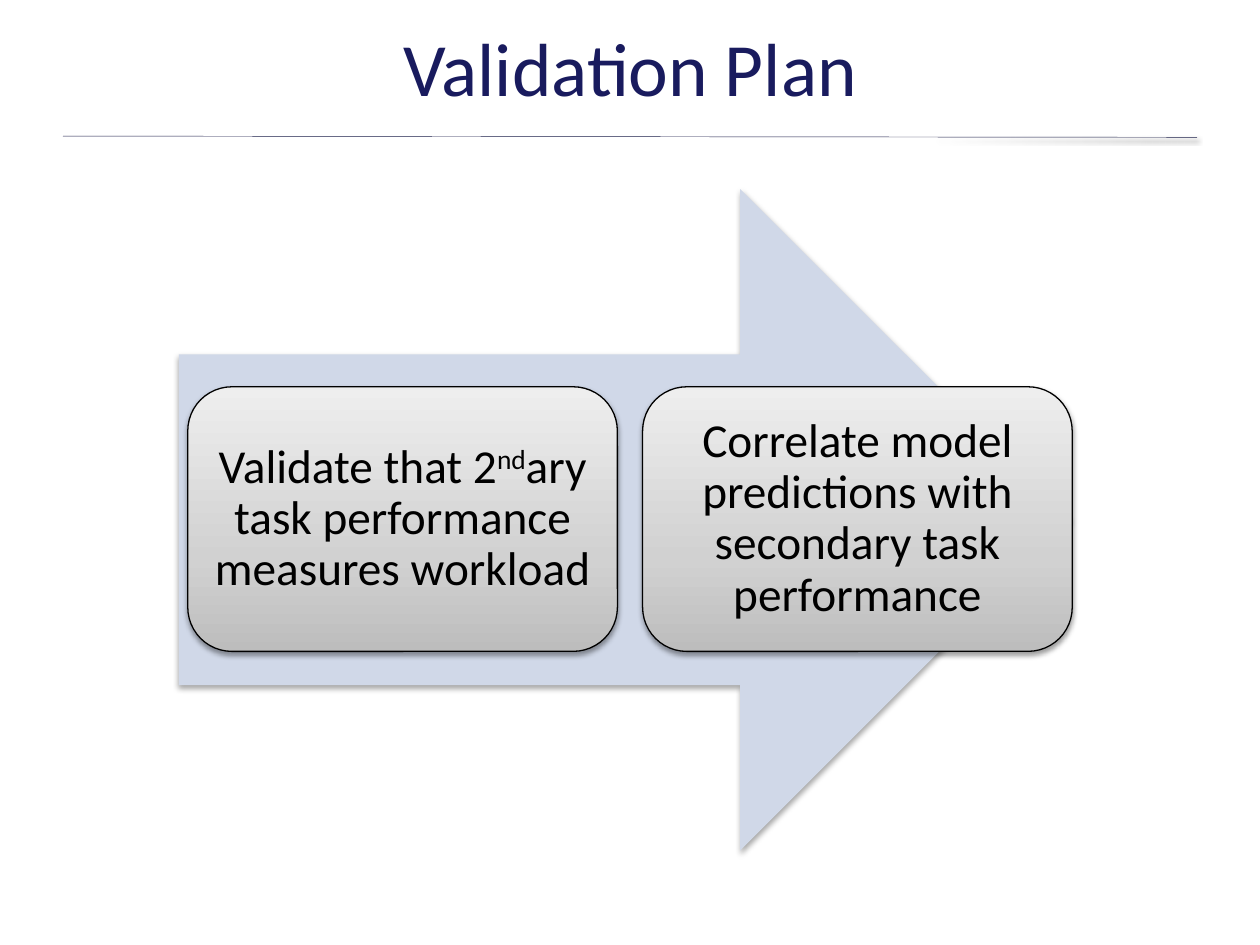
"""Build the Validation Plan slide: a title, a rule and two steps on an arrow."""
from copy import deepcopy
from dataclasses import dataclass

from lxml.etree import SubElement
from pptx import Presentation
from pptx.dml.color import RGBColor
from pptx.enum.shapes import MSO_CONNECTOR, MSO_SHAPE
from pptx.enum.text import MSO_ANCHOR, PP_ALIGN
from pptx.oxml.ns import qn
from pptx.util import Inches, Pt

COLORS = {"title": "191B5E", "rule": "1A1C47", "arrow": "D0D8E8", "ink": "000000"}
GRADIENT = ((0, "BDBDBD"), (35, "D1D1D1"), (100, "EEEEEE"))
STEP_LEFT, STEP_TOP, STEP_W, STEP_H, STEP_PITCH = 1.49, 3.07, 3.41, 2.1, 3.61
FRAME = {"word_wrap": True, "vertical_anchor": MSO_ANCHOR.MIDDLE}
STEP_FRAME = FRAME | {f"margin_{side}": Inches(0.11)
                      for side in ("left", "top", "right", "bottom")}
TITLE_PARAGRAPH = {"alignment": PP_ALIGN.CENTER, "line_spacing": Pt(40)}
STEP_PARAGRAPH = {"alignment": PP_ALIGN.CENTER, "line_spacing": 0.9}


@dataclass
class Run:
    text: str
    raised: int = 0


@dataclass
class Step:
    column: int
    runs: list[Run]


STEPS = [
    Step(0, [Run("Validate that 2"), Run("nd", 30),
             Run("ary task performance measures workload")]),
    Step(1, [Run("Correlate model predictions with secondary task performance")]),
]


def rgb(name: str) -> RGBColor:
    return RGBColor.from_string(COLORS[name])


def apply(target, values: dict) -> None:
    for name, value in values.items():
        setattr(target, name, value)


def add_shadow(sp, alpha: int, distance: float) -> None:
    effects = SubElement(sp._element.spPr, qn("a:effectLst"))
    shadow = SubElement(effects, qn("a:outerShdw"), blurRad=str(Pt(3.1)),
                        dist=str(Pt(distance)), dir="5400000", rotWithShape="0")
    color = SubElement(shadow, qn("a:srgbClr"), val=COLORS["ink"])
    SubElement(color, qn("a:alpha"), val=str(alpha * 1000))


def fill_gradient(sp) -> None:
    sp.fill.gradient()
    sp.fill.gradient_angle = 90
    stops = sp._element.spPr.find(qn("a:gradFill")).find(qn("a:gsLst"))
    stops.append(deepcopy(stops[0]))
    for stop, (position, color) in zip(sp.fill.gradient_stops, GRADIENT):
        stop.position = position / 100
        stop.color.rgb = RGBColor.from_string(color)


def write(tf, runs: list[Run], size: float, color: str, frame: dict, paragraph: dict) -> None:
    apply(tf, frame)
    p = tf.paragraphs[0]
    apply(p, paragraph)
    for run in runs:
        r = p.add_run()
        r.text = run.text
        apply(r.font, {"name": "Calibri", "size": Pt(size)})
        r.font.color.rgb = rgb(color)
        if run.raised:
            r.font._element.set("baseline", str(run.raised * 1000))


def add_rule(s) -> None:
    line = s.shapes.add_connector(MSO_CONNECTOR.STRAIGHT, Inches(0.5), Inches(1.08),
                                  Inches(9.5), Inches(1.09))
    line.line.color.rgb = rgb("rule")
    line.line.width = Pt(0.25)
    add_shadow(line, 38, 1.6)


def add_title(s) -> None:
    box = s.shapes.add_textbox(Inches(0.5), Inches(0.14), Inches(9), Inches(0.94))
    write(box.text_frame, [Run("Validation Plan")], 43, "title", FRAME, TITLE_PARAGRAPH)


def add_arrow(s) -> None:
    sp = s.shapes.add_shape(MSO_SHAPE.RIGHT_ARROW, Inches(1.42), Inches(1.5),
                            Inches(7.08), Inches(5.25))
    sp.fill.solid()
    sp.fill.fore_color.rgb = rgb("arrow")
    sp.line.fill.background()
    add_shadow(sp, 35, 1.8)


def add_step(s, step: Step) -> None:
    left = STEP_LEFT + step.column * STEP_PITCH
    sp = s.shapes.add_shape(MSO_SHAPE.ROUNDED_RECTANGLE, Inches(left), Inches(STEP_TOP),
                            Inches(STEP_W), Inches(STEP_H))
    fill_gradient(sp)
    sp.line.color.rgb = rgb("ink")
    sp.line.width = Pt(0.75)
    add_shadow(sp, 38, 1.6)
    write(sp.text_frame, step.runs, 27, "ink", STEP_FRAME, STEP_PARAGRAPH)


def main() -> None:
    prs = Presentation()
    prs.slide_width, prs.slide_height = Inches(10), Inches(7.5)
    s = prs.slides.add_slide(prs.slide_layouts[6])
    add_rule(s)
    add_title(s)
    add_arrow(s)
    for step in STEPS:
        add_step(s, step)
    prs.save("out.pptx")


if __name__ == "__main__":
    main()
